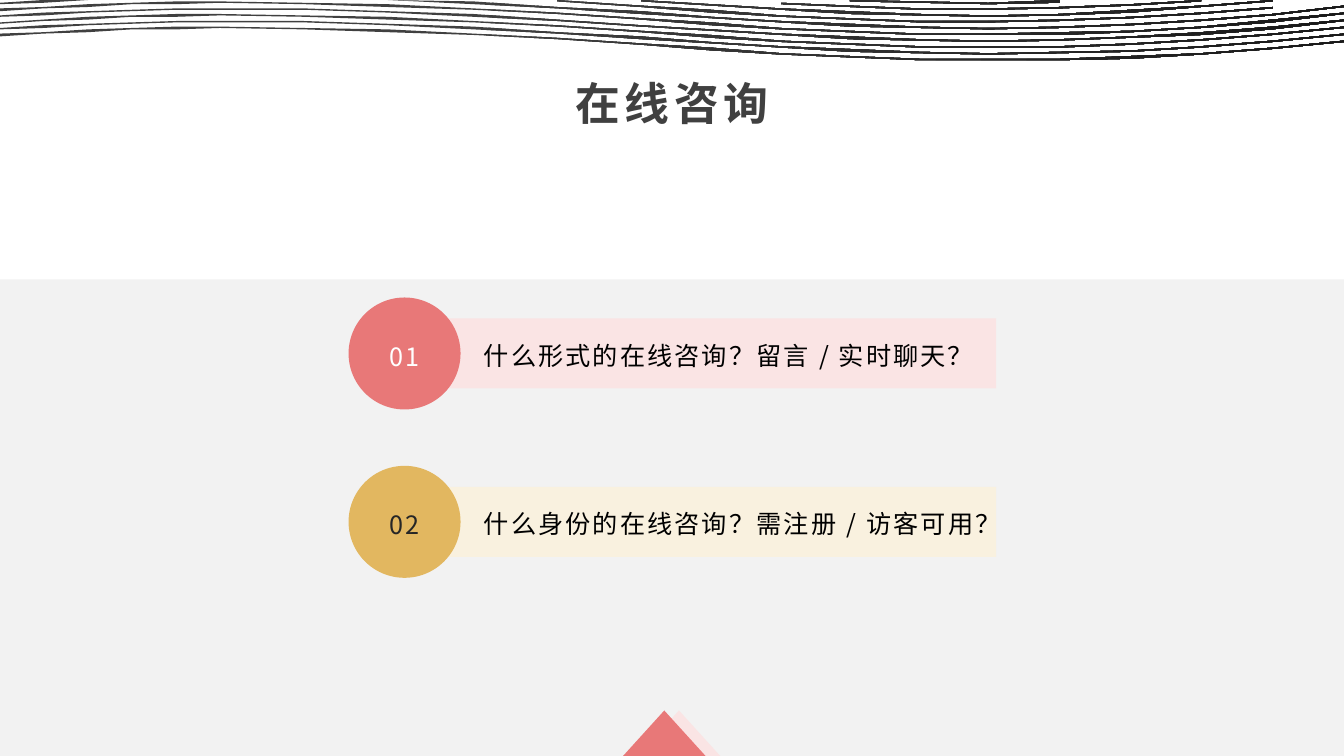
"""Build the online consultation slide with two questions under a band of wavy lines."""
from itertools import groupby

from lxml import etree
from pptx import Presentation
from pptx.dml.color import RGBColor
from pptx.enum import shapes, text
from pptx.oxml import ns
from pptx.util import Pt

FONT = "Noto Sans CJK SC"
COLORS = {
    "panel": "F2F2F2", "coral": "E87878", "blush": "FAE4E4",
    "gold": "E2B760", "cream": "F9F1DF", "white": "FFFFFF",
    "black": "000000", "ink": "262626", "gray": "404040", "dark": "191919",
}


def add_plain(kind, left, top, width, height, color):
    shape = slide.shapes.add_shape(kind, Pt(left), Pt(top), Pt(width), Pt(height))
    shape.shadow.inherit = False
    shape.fill.solid()
    shape.fill.fore_color.rgb = RGBColor.from_string(COLORS[color])
    shape.line.fill.background()
    return shape


def write(shape, words, size, color, align, spacing, bold=False):
    frame = shape.text_frame
    frame.word_wrap = True
    frame.auto_size = text.MSO_AUTO_SIZE.NONE
    frame.vertical_anchor = text.MSO_ANCHOR.MIDDLE
    paragraph = frame.paragraphs[0]
    paragraph.text = words
    paragraph.alignment = align
    font = paragraph.font
    font.size, font.bold, font.name = Pt(size), bold, FONT
    font.color.rgb = RGBColor.from_string(COLORS[color])
    properties = paragraph._p.pPr.find(ns.qn("a:defRPr"))
    properties.set("spc", str(int(spacing * 100)))
    etree.SubElement(properties, ns.qn("a:ea")).set("typeface", FONT)
    return paragraph


prs = Presentation()
prs.slide_width, prs.slide_height = Pt(960), Pt(540)
slide = prs.slides.add_slide(prs.slide_layouts[5])
kinds = shapes.MSO_SHAPE

add_plain(kinds.RECTANGLE, 0, 199.5, 960, 340.5, "panel")
for left, color in ((455.5, "blush"), (445, "coral")):
    add_plain(kinds.ISOSCELES_TRIANGLE, left, 507.5, 59, 32.5, color)

curves = [
    ((0, 24.5), (52, 21.6), (105, 19.2), (157, 19.2)),
    ((157, 19.2), (257, 19.2), (358, 24), (458, 31)),
    ((458, 31), (541, 37), (624, 42.2), (706, 42.2)),
    ((706, 42.2), (791, 42.2), (875, 38.9), (960, 28.8)),
]
steps = 5
crest = []
for start, pull, push, end in curves:
    for step in range(steps + (end[0] == 960)):
        t = step / steps
        crest.append([
            (1 - t) ** 3 * a + 3 * t * (1 - t) ** 2 * b + 3 * t * t * (1 - t) * c + t ** 3 * d
            for a, b, c, d in zip(start, pull, push, end)
        ])

thickness = 1.2
strands = []
for band in range(10):
    lifted = [(x, y - band * (4.5 + max(0, x - 706) / 500)) for x, y in crest]
    for visible, stretch in groupby(lifted, lambda point: point[1] > -thickness):
        upper = list(stretch)
        if visible and len(upper) > 1:
            lower = [(x, y + thickness) for x, y in reversed(upper)]
            strands.append([(x, max(0, y)) for x, y in upper + lower])

builder = slide.shapes.build_freeform(*strands[0][0], scale=Pt(1))
for strand in strands:
    builder.move_to(*strand[0])
    builder.add_line_segments(strand[1:])
waves = builder.convert_to_shape()
waves.shadow.inherit = False
waves.line.fill.background()
waves.fill.gradient()
waves.fill.gradient_angle = 350
for stop, position, color in zip(waves.fill.gradient_stops, (0.33, 1), ("gray", "dark")):
    stop.position = position
    stop.color.rgb = RGBColor.from_string(COLORS[color])

title = slide.shapes.title
title.left, title.top, title.width, title.height = Pt(36), Pt(48), Pt(888), Pt(50)
heading = write(title, "在线咨询", 32, "gray", text.PP_ALIGN.CENTER, 3, True)
heading.space_after = Pt(8)
margins = title.text_frame
margins.margin_left = margins.margin_right = Pt(6)
margins.margin_top = margins.margin_bottom = Pt(3)

questions = [
    ("01", "什么形式的在线咨询？留言 / 实时聊天？", "coral", "blush", "white"),
    ("02", "什么身份的在线咨询？需注册 / 访客可用？", "gold", "cream", "ink"),
]
for row, (number, question, badge_color, bar_color, number_color) in enumerate(questions):
    top = 212.5 + row * 120.25
    add_plain(kinds.RECTANGLE, 288.5, top + 15, 423, 50, bar_color)
    badge = add_plain(kinds.OVAL, 249, top, 80, 80, badge_color)
    label = slide.shapes.add_textbox(Pt(338.5), Pt(top + 16.5), Pt(373), Pt(45.5))
    for paragraph in (
        write(badge, number, 18, number_color, text.PP_ALIGN.CENTER, 1.5),
        write(label, question, 18, "black", text.PP_ALIGN.LEFT, 1.5),
    ):
        paragraph.line_spacing = 1.2

prs.save("out.pptx")
